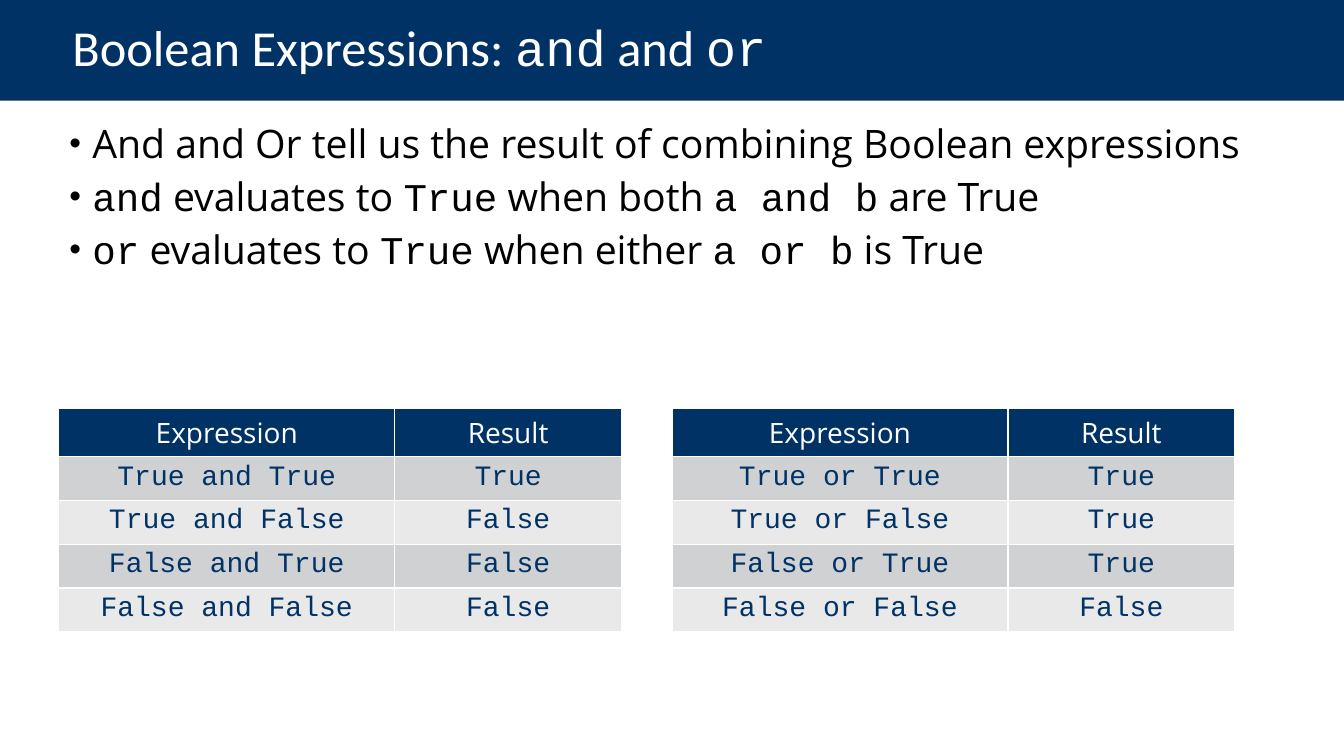
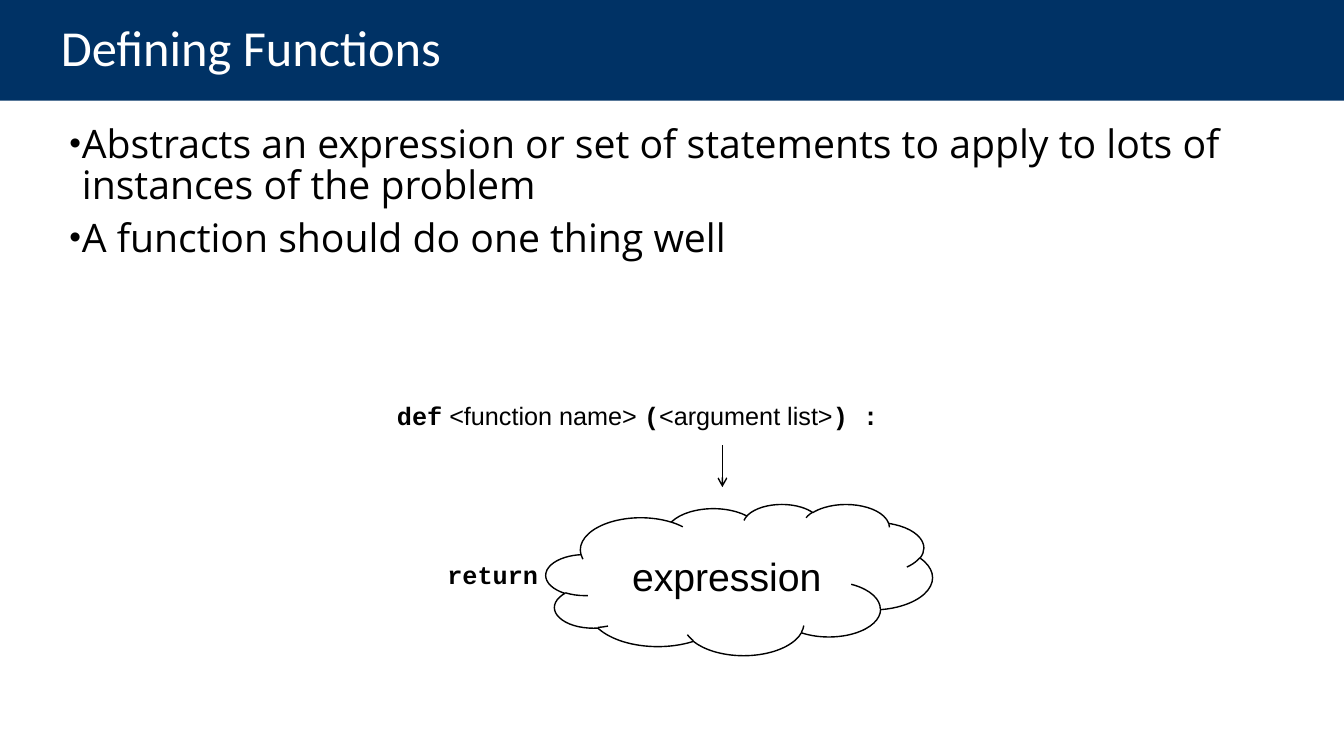
from dataclasses import dataclass
from lxml.etree import SubElement as Sub
from pptx import Presentation as Deck
from pptx.dml.color import RGBColor as RGB
from pptx.enum.shapes import MSO_CONNECTOR as LINE, MSO_SHAPE as SHAPE
from pptx.enum.text import MSO_ANCHOR as ANCHOR, PP_ALIGN as ALIGN
from pptx.oxml.ns import qn
from pptx.util import Pt

PX = 9525  # EMU in one px, 96 px to the inch
WIDTH, HEIGHT = 1280, 720


@dataclass(frozen=True)
class Theme:
    navy: RGB = RGB(0x00, 0x32, 0x65)
    white: RGB = RGB(0xFF, 0xFF, 0xFF)
    black: RGB = RGB(0, 0, 0)
    bands: tuple = (RGB(0xCF, 0xD1, 0xD2), RGB(0xE9, 0xE9, 0xEA))
    head: str = "Calibri"
    body: str = "Open Sans"
    code: str = "Courier New"
    plain: str = "Arial"
    title: int = 36
    large: int = 28
    cell: int = 20
    small: int = 18


T = Theme()


def px(*nums):
    return [n * PX for n in nums]


def write(para, text, font, size, color, bold=False):
    """Fill a paragraph; parts between backticks are set as code."""
    for i, part in enumerate(text.split("`")):
        if not part:
            continue
        run = para.add_run()
        run.text = part
        face = run.font
        face.name = T.code if i % 2 else font
        face.size = Pt(size)
        face.color.rgb = color
        face.bold = bold and i % 2 == 1


def inset(frame, left, top, right, low):
    frame.margin_left, frame.margin_top, frame.margin_right, frame.margin_bottom = px(
        left, top, right, low)
    frame.word_wrap = True


def banner(slide, text, left=58):
    """Title band across the top."""
    band = slide.shapes.add_shape(SHAPE.RECTANGLE, *px(0, 0, WIDTH, 96))
    band.shadow.inherit = False
    band.fill.solid()
    band.fill.fore_color.rgb = T.navy
    band.line.fill.background()
    frame = band.text_frame
    inset(frame, left, 5, 96, 5)
    frame.vertical_anchor = ANCHOR.MIDDLE
    para = frame.paragraphs[0]
    para.alignment = ALIGN.LEFT
    para.line_spacing = 0.9
    write(para, text, T.head, T.title, T.white)


def points(slide, box, items, hang):
    """Bulleted list with a hanging indent."""
    frame = slide.shapes.add_textbox(*px(*box)).text_frame
    inset(frame, 10, 5, 10, 5)
    for i, item in enumerate(items):
        para = frame.add_paragraph() if i else frame.paragraphs[0]
        props = para._p.get_or_add_pPr()
        props.set("marL", str(hang * PX))
        props.set("indent", str(-hang * PX))
        Sub(props, qn("a:buSzPct"), val="85000")
        Sub(props, qn("a:buFont"), typeface=T.plain)
        Sub(props, qn("a:buChar"), char="•")
        para.line_spacing = 0.88
        if i:
            para.space_before = Pt(8.4)
        write(para, item, T.body, T.large, T.black)


def edge(cell):
    """Thin white border on all sides of a cell."""
    props = cell._tc.get_or_add_tcPr()
    for side in ("a:lnL", "a:lnR", "a:lnT", "a:lnB"):
        line = Sub(props, qn(side), w=str(Pt(1)))
        fill = Sub(line, qn("a:solidFill"))
        Sub(fill, qn("a:srgbClr"), val=str(T.white))


def truth(slide, left, top, facts):
    """Truth table with a header row and banded rows."""
    rows = [("Expression", "Result")] + [(f"`{a}`", f"`{b}`") for a, b in facts]
    cols, head, step = (320, 216), 46, 40
    box = px(left, top, sum(cols), head + step * len(facts))
    table = slide.shapes.add_table(len(rows), len(cols), *box).table
    for c, wide in enumerate(cols):
        table.columns[c].width = wide * PX
    for r, row in enumerate(rows):
        table.rows[r].height = (step if r else head) * PX
        for c, text in enumerate(row):
            cell = table.cell(r, c)
            edge(cell)
            cell.fill.solid()
            cell.fill.fore_color.rgb = T.bands[(r - 1) % 2] if r else T.navy
            para = cell.text_frame.paragraphs[0]
            para.alignment = ALIGN.CENTER
            write(para, text, T.body, T.cell, T.navy if r else T.white)


def label(slide, box, text, size):
    frame = slide.shapes.add_textbox(*px(*box)).text_frame
    inset(frame, 10, 5, 9, 5)
    write(frame.paragraphs[0], text, T.plain, size, T.black, bold=True)


def arrow(slide, x, top, low):
    link = slide.shapes.add_connector(LINE.STRAIGHT, *px(x, top, x, low))
    link.line.color.rgb = T.black
    link.line.width = Pt(1)
    Sub(link.line._get_or_add_ln(), qn("a:tailEnd"), type="arrow")
    Sub(link._element.spPr, qn("a:effectLst"))


def scheme(slide, left, top):
    """Parts of a function: header, arrow, returned expression."""
    label(slide, (left + 224, top + 145, 204, 55), "expression", T.large)
    cloud = slide.shapes.add_shape(
        SHAPE.CLOUD, *px(left + 152, top + 104, 368, 144))
    cloud.shadow.inherit = False
    cloud.fill.background()
    cloud.line.color.rgb = T.black
    cloud.line.width = Pt(1)
    label(slide, (left, top, 496, 38),
          "`def` <function name> `(`<argument list>`) :`", T.small)
    label(slide, (left + 48, top + 152, 112, 38), "`return`", T.small)
    arrow(slide, left + 320, top + 48, top + 88)


def logic(slide, body):
    banner(slide, "Boolean Expressions: `and` and `or`", left=69)
    points(slide, body, [
        "And and Or tell us the result of combining Boolean expressions",
        "`and` evaluates to `True` when both `a and b` are True",
        "`or` evaluates to `True` when either `a or b` is True",
    ], hang=22)
    pairs = [(a, b) for a in (True, False) for b in (True, False)]
    left, top = body[0], body[1] + 275
    truth(slide, left, top, [(f"{a} and {b}", a and b) for a, b in pairs])
    truth(slide, left + 584, top, [(f"{a} or {b}", a or b) for a, b in pairs])


def define(slide, body):
    banner(slide, "Defining Functions")
    points(slide, body, [
        "Abstracts an expression or set of statements to apply to lots of "
        "instances of the problem",
        "A function should do one thing well",
    ], hang=12)
    scheme(slide, body[0] + 312, body[1] + 262)


def main():
    deck = Deck()
    deck.slide_width, deck.slide_height = px(WIDTH, HEIGHT)
    for build in (logic, define):
        slide = deck.slides.add_slide(deck.slide_layouts[6])
        build(slide, (56, 114, 1178, 550))
    deck.save("out.pptx")


if __name__ == "__main__":
    main()
